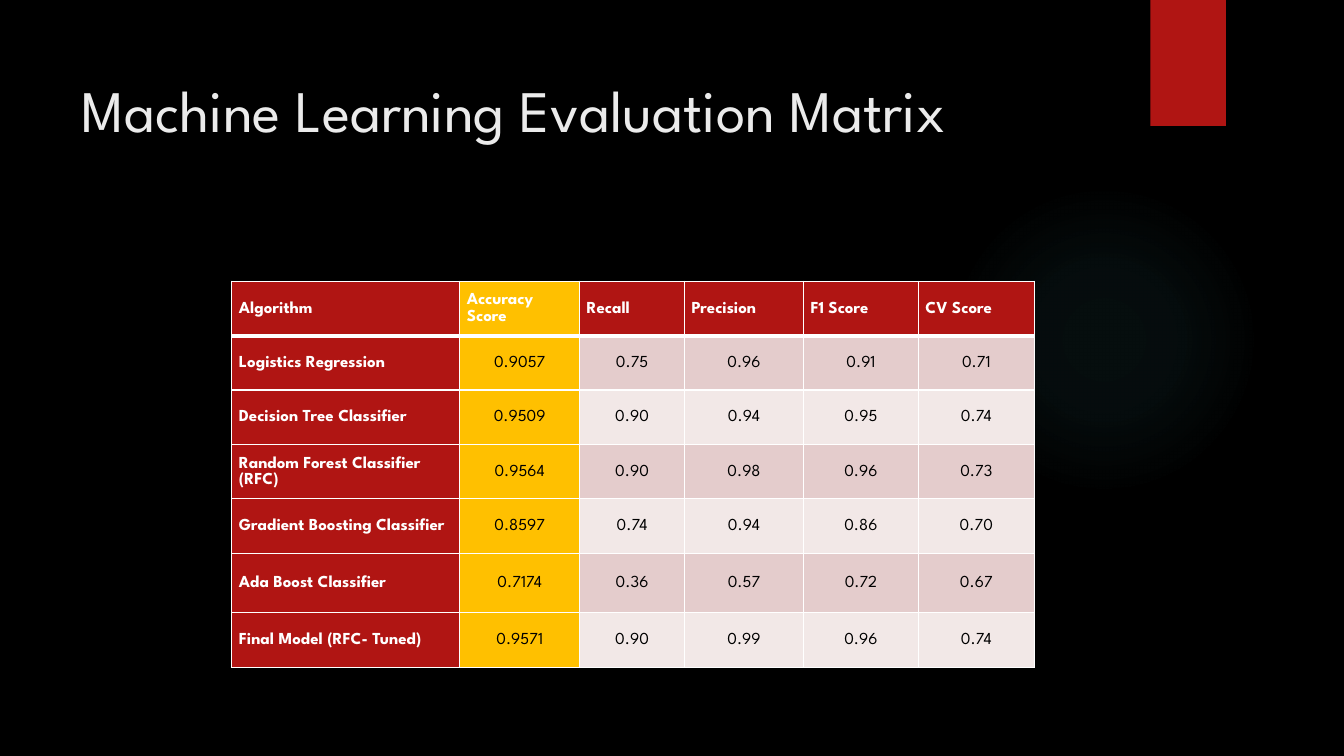
from dataclasses import dataclass

from lxml.etree import SubElement
from pptx import Presentation
from pptx.dml.color import RGBColor
from pptx.enum.shapes import MSO_SHAPE
from pptx.enum.text import MSO_ANCHOR, PP_ALIGN
from pptx.oxml import parse_xml
from pptx.oxml.ns import nsdecls, qn
from pptx.util import Inches, Pt

TITLE = "Machine Learning Evaluation Matrix"
HEADERS = ["Algorithm", "Accuracy Score", "Recall", "Precision", "F1 Score", "CV Score"]
RESULTS = [
    ("Logistics Regression", "0.9057", "0.75", "0.96", "0.91", "0.71"),
    ("Decision Tree Classifier", "0.9509", "0.90", "0.94", "0.95", "0.74"),
    ("Random Forest Classifier (RFC)", "0.9564", "0.90", "0.98", "0.96", "0.73"),
    ("Gradient Boosting Classifier", "0.8597", "0.74", "0.94", "0.86", "0.70"),
    ("Ada Boost Classifier", "0.7174", "0.36", "0.57", "0.72", "0.67"),
    ("Final Model (RFC- Tuned)", "0.9571", "0.90", "0.99", "0.96", "0.74"),
]
COLUMN_WIDTHS = [2.26, 1.19, 1.04, 1.18, 1.14, 1.15]
ROW_HEIGHTS = [0.54, 0.54, 0.54, 0.54, 0.54, 0.59, 0.54]
GLOW_STOPS = [(0, 7), (36, 6), (69, 0)]


@dataclass(frozen=True)
class Theme:
    """Colours, font and type sizes of the slide."""

    font: str = "League Spartan"
    background: str = "000000"
    title: str = "EBEBEB"
    accent: str = "B01513"
    highlight: str = "FFC000"
    bands: tuple = ("E4CCCC", "F2E8E7")
    light: str = "FFFFFF"
    dark: str = "000000"
    glow: str = "50B9C1"
    title_size: int = 42
    table_size: int = 12


THEME = Theme()


def set_font(paragraph, size, color, bold=False):
    """Apply the theme font to a paragraph."""
    paragraph.font.name = THEME.font
    paragraph.font.size = Pt(size)
    paragraph.font.bold = bold
    paragraph.font.color.rgb = RGBColor.from_string(color)


def paint(target, color):
    """Give a shape, cell or background a solid fill."""
    target.fill.solid()
    target.fill.fore_color.rgb = RGBColor.from_string(color)


def add_plain_shape(slide, kind, left, top, width, height):
    """Add a shape without outline or shadow."""
    shape = slide.shapes.add_shape(
        kind, Inches(left), Inches(top), Inches(width), Inches(height)
    )
    shape.shadow.inherit = False
    shape.line.fill.background()
    paint(shape, THEME.accent)
    return shape


def add_glow(slide):
    """Add the faint circular glow."""
    glow = add_plain_shape(slide, MSO_SHAPE.OVAL, 9.41, 1.83, 3.08, 3.08)
    stops = "".join(
        f'<a:gs pos="{position * 1000}"><a:srgbClr val="{THEME.glow}">'
        f'<a:alpha val="{opacity * 1000}"/></a:srgbClr></a:gs>'
        for position, opacity in GLOW_STOPS
    )
    gradient = parse_xml(
        f'<a:gradFill {nsdecls("a")}><a:gsLst>{stops}</a:gsLst><a:path path="circle">'
        '<a:fillToRect l="50000" t="50000" r="50000" b="50000"/></a:path></a:gradFill>'
    )
    properties = glow.element.spPr
    properties.replace(properties.find(qn("a:solidFill")), gradient)


def add_title(slide):
    """Place and format the title."""
    title = slide.shapes.title
    title.left, title.top = Inches(0.71), Inches(0.5)
    title.width, title.height = Inches(10.29), Inches(1.53)
    frame = title.text_frame
    frame.text = TITLE
    frame.word_wrap = True
    frame.vertical_anchor = MSO_ANCHOR.TOP
    frame.margin_top = Inches(0.23)
    paragraph = frame.paragraphs[0]
    paragraph.alignment = PP_ALIGN.LEFT
    paragraph.line_spacing = 1.0
    set_font(paragraph, THEME.title_size, THEME.title)


def set_borders(cell, row):
    """Draw cell borders, heavier below the header row."""
    top = 3 if row == 1 else 1
    bottom = 3 if row == 0 else 1
    properties = cell._tc.get_or_add_tcPr()
    for side, weight in (("L", 1), ("R", 1), ("T", top), ("B", bottom)):
        line = SubElement(properties, qn(f"a:ln{side}"), w=str(Pt(weight)))
        fill = SubElement(line, qn("a:solidFill"))
        SubElement(fill, qn("a:srgbClr"), val=THEME.light)


def cell_color(row, column):
    """Choose the fill of a cell from its place in the table."""
    if column == 1:
        return THEME.highlight
    if row == 0 or column == 0:
        return THEME.accent
    return THEME.bands[(row - 1) % 2]


def fill_cell(cell, text, row, column):
    """Write and format one table cell."""
    set_borders(cell, row)
    paint(cell, cell_color(row, column))
    cell.text = text
    cell.vertical_anchor = MSO_ANCHOR.MIDDLE
    cell.margin_left = cell.margin_right = Inches(0.07)
    cell.margin_top = cell.margin_bottom = 0
    paragraph = cell.text_frame.paragraphs[0]
    paragraph.line_spacing = 1.07
    paragraph.space_after = Pt(8)
    if row == 0:
        paragraph.alignment = PP_ALIGN.JUSTIFY
    else:
        paragraph.alignment = PP_ALIGN.LEFT if column == 0 else PP_ALIGN.CENTER
    label = row == 0 or column == 0
    set_font(paragraph, THEME.table_size, THEME.light if label else THEME.dark, label)


def add_results(slide):
    """Add the table of model scores."""
    table = slide.shapes.add_table(
        len(ROW_HEIGHTS), len(COLUMN_WIDTHS), Inches(2.3), Inches(2.79),
        Inches(sum(COLUMN_WIDTHS)), Inches(sum(ROW_HEIGHTS)),
    ).table
    table.first_col = True
    for column, width in zip(table.columns, COLUMN_WIDTHS):
        column.width = Inches(width)
    for row, height in zip(table.rows, ROW_HEIGHTS):
        row.height = Inches(height)
    for row, values in enumerate([HEADERS, *RESULTS]):
        for column, text in enumerate(values):
            fill_cell(table.cell(row, column), text, row, column)


def main():
    """Build and save the slide."""
    presentation = Presentation()
    presentation.slide_width, presentation.slide_height = Inches(13.33), Inches(7.5)
    slide = presentation.slides.add_slide(presentation.slide_layouts[5])
    paint(slide.background, THEME.background)
    add_glow(slide)
    add_plain_shape(slide, MSO_SHAPE.RECTANGLE, 11.41, 0, 0.75, 1.25)
    add_title(slide)
    add_results(slide)
    presentation.save("out.pptx")


if __name__ == "__main__":
    main()
